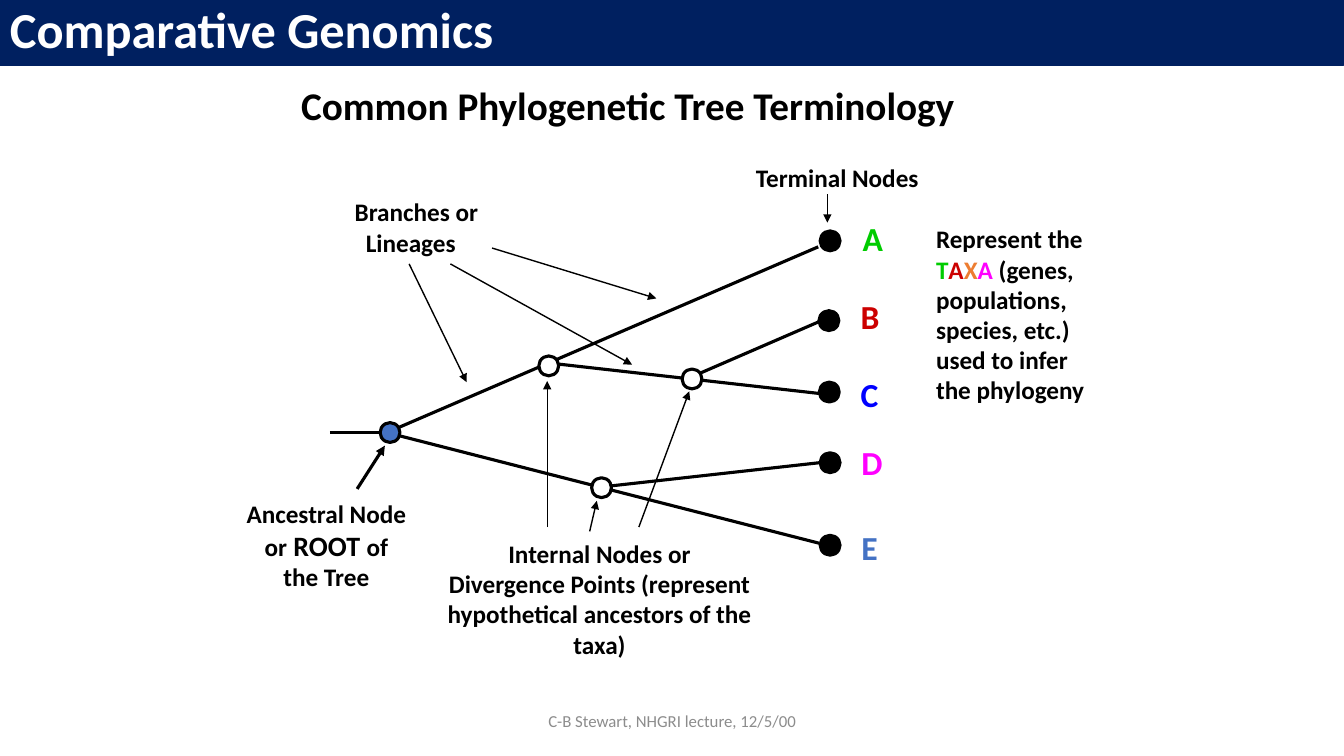
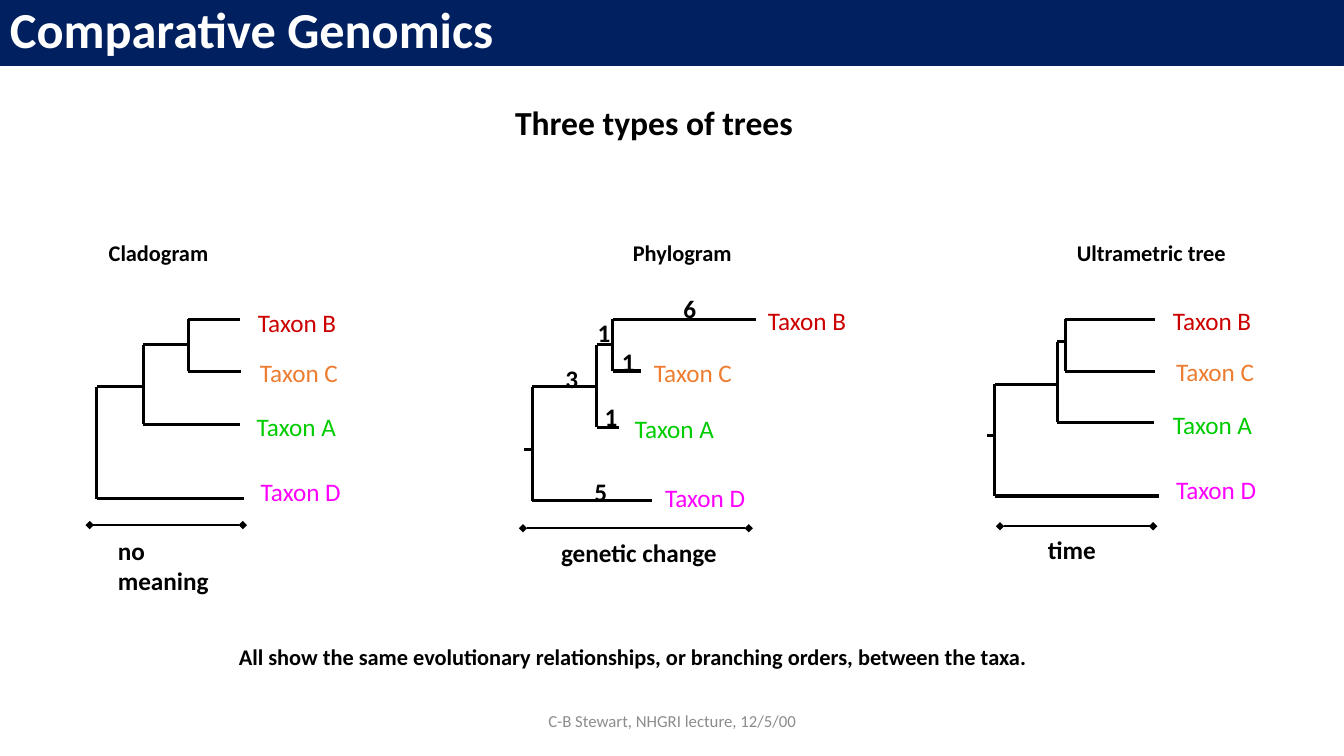
"""Build two slides on phylogenetic tree terms and tree types."""
from lxml import etree
from pptx import Presentation
from pptx.dml.color import RGBColor
from pptx.enum.shapes import MSO_CONNECTOR, MSO_SHAPE
from pptx.enum.text import MSO_ANCHOR, PP_ALIGN
from pptx.oxml.ns import qn
from pptx.util import Cm, Pt

STRAIGHT = MSO_CONNECTOR.STRAIGHT
RECTANGLE, OVAL = MSO_SHAPE.RECTANGLE, MSO_SHAPE.OVAL
LEFT, CENTER = PP_ALIGN.LEFT, PP_ALIGN.CENTER
TOP, MIDDLE = MSO_ANCHOR.TOP, MSO_ANCHOR.MIDDLE

FONT = "Calibri"
PAGE_WIDTH, PAGE_HEIGHT = 33.87, 19.05
NODE_SIZE = 0.5
THICK, MEDIUM, THIN = 2.25, 1.5, 1
COLORS = {
    "black": "000000", "white": "FFFFFF", "navy": "002060", "gray": "8C8C8C",
    "green": "00CC00", "red": "CC0000", "orange": "ED7D31",
    "magenta": "FF00FF", "blue": "0000FF", "steel": "4472C4",
}
TAXON_COLORS = {"A": "green", "B": "red", "C": "orange", "D": "magenta"}

BRANCHES = [
    (9.75, 10.9, 20.62, 6.22), (9.75, 10.9, 20.65, 13.69),
    (13.77, 9.14, 20.78, 9.93), (17.42, 9.5, 20.7, 8.08),
    (15.16, 12.27, 20.65, 11.66), (8.31, 10.9, 9.7, 10.9),
]
NODES = [
    (9.83, 10.9, "steel"),
    (15.16, 12.29, "white"), (13.83, 9.22, "white"), (17.44, 9.55, "white"),
    (20.92, 6.07, "black"), (20.89, 8.08, "black"), (20.9, 9.88, "black"),
    (20.92, 11.66, "black"), (20.92, 13.74, "black"),
]
POINTERS = [
    (13.79, 13.28, 13.79, 9.6), (14.86, 13.39, 15.04, 12.62),
    (16.1, 13.28, 17.37, 9.86), (10.31, 6.65, 11.76, 9.63),
    (11.35, 6.65, 15.93, 9.19), (12.4, 6.25, 16.54, 7.52),
    (20.85, 4.9, 20.85, 5.61),
]
LETTERS = [
    ("A", 21.49, 5.36, "green"), ("B", 21.44, 7.34, "red"),
    ("C", 21.44, 9.3, "blue"), ("D", 21.46, 11, "magenta"),
    ("E", 21.46, 13.16, "steel"),
]
TREES = [
    {
        "title": ("Cladogram", 2.49),
        "joints": {"root": 2.44, "clade": 3.61, "pair": 4.75},
        "levels": {"B": 8.05, "pair": 8.69, "C": 9.36, "clade": 9.75,
                   "A": 10.69, "D": 12.57},
        "tips": {"A": 6.05, "B": 6.05, "C": 6.07, "D": 6.15},
        "labels": {"A": (6.22, 10.24), "B": (6.25, 7.62),
                   "C": (6.3, 8.89), "D": (6.32, 11.89)},
        "scale": (2.26, 6.12, 13.23),
        "caption": ("no meaning", 2.72, 13.36, 3.28),
        "stub": None,
    },
    {
        "title": ("Phylogram", 15.7),
        "joints": {"root": 13.41, "clade": 15.04, "pair": 15.44},
        "levels": {"B": 8.05, "pair": 8.69, "C": 9.35, "clade": 9.75,
                   "A": 10.77, "D": 12.62},
        "tips": {"A": 15.6, "B": 19.05, "C": 16.15, "D": 16.43},
        "labels": {"A": (15.75, 10.29), "B": (19.1, 7.57),
                   "C": (16.23, 8.89), "D": (16.51, 12.04)},
        "scale": (13.18, 18.87, 13.31),
        "caption": ("genetic change", 13.89, 13.41, 5.05),
        "stub": 11.33,
    },
    {
        "title": ("Ultrametric tree", 26.89),
        "joints": {"root": 25.07, "clade": 26.64, "pair": 26.85},
        "levels": {"B": 8.05, "pair": 8.61, "C": 9.36, "clade": 9.68,
                   "A": 10.64, "D": 12.5},
        "tips": {"A": 29.08, "B": 29.11, "C": 29.11, "D": 29.21},
        "labels": {"A": (29.31, 10.19), "B": (29.31, 7.57),
                   "C": (29.39, 8.86), "D": (29.39, 11.84)},
        "scale": (25.2, 29.06, 13.26),
        "caption": ("time", 26.16, 13.34, 2.2),
        "stub": 10.97,
    },
]
BRANCH_LENGTHS = [
    ("1", 15.42, 8.61), ("1", 14.81, 7.87), ("1", 14.99, 9.98),
    ("6", 16.97, 7.26), ("3", 14, 9.02), ("5", 14.73, 11.89),
]


def rgb(name):
    return RGBColor.from_string(COLORS[name])


def fill_para(para, spans, size, color, bold, align=LEFT):
    if isinstance(spans, str):
        spans = [(spans, {})]
    para.alignment = align
    para.font.name = FONT
    para.font.bold = bold
    sizes = {style.get("size", size) for _, style in spans}
    colors = {style.get("color", color) for _, style in spans}
    if len(sizes) == 1:
        para.font.size = Pt(size)
    if len(colors) == 1:
        para.font.color.rgb = rgb(color)
    for text, style in spans:
        span = para.add_run()
        span.text = text
        if len(sizes) > 1:
            span.font.size = Pt(style.get("size", size))
        if len(colors) > 1:
            span.font.color.rgb = rgb(style.get("color", color))


def add_text(page, paras, left, top, width, height=1.02, size=18,
             color="black", bold=True, align=LEFT, anchor=TOP):
    box = page.shapes.add_textbox(Cm(left), Cm(top), Cm(width), Cm(height))
    frame = box.text_frame
    frame.word_wrap = True
    frame.vertical_anchor = anchor
    for index, spans in enumerate(paras):
        para = frame.add_paragraph() if index else frame.paragraphs[0]
        fill_para(para, spans, size, color, bold, align)
    return box


def add_shape(page, kind, left, top, width, height, fill, line):
    shape = page.shapes.add_shape(kind, Cm(left), Cm(top), Cm(width), Cm(height))
    shape.shadow.inherit = False
    shape.fill.solid()
    shape.fill.fore_color.rgb = rgb(fill)
    shape.line.color.rgb = rgb(line)
    shape.line.width = Pt(THICK)
    return shape


def add_line(page, x1, y1, x2, y2, width=THICK, head=None, tail=None):
    line = page.shapes.add_connector(STRAIGHT, Cm(x1), Cm(y1), Cm(x2), Cm(y2))
    line.line.color.rgb = rgb("black")
    line.line.width = Pt(width)
    properties = line._element.spPr
    outline = properties.find(qn("a:ln"))
    for tag, kind in (("a:headEnd", head), ("a:tailEnd", tail)):
        if kind:
            etree.SubElement(outline, qn(tag), type=kind)
    etree.SubElement(properties, qn("a:effectLst"))


def add_page(deck):
    page = deck.slides.add_slide(deck.slide_layouts[6])
    band = add_shape(page, RECTANGLE, 0, 0, PAGE_WIDTH, 1.63, "navy", "navy")
    band.text_frame.vertical_anchor = MIDDLE
    para = band.text_frame.paragraphs[0]
    para.line_spacing = 0.9
    fill_para(para, "Comparative Genomics", 36, "white", True)
    add_text(page, ["C-B Stewart, NHGRI lecture, 12/5/00"], 11.23, 17.65, 11.43,
             size=12, color="gray", bold=False, align=CENTER, anchor=MIDDLE)
    return page


def add_tree(page, tree):
    joints, levels, tips = tree["joints"], tree["levels"], tree["tips"]
    root, clade, pair = joints["root"], joints["clade"], joints["pair"]
    for x, upper, lower in ((root, "clade", "D"), (clade, "pair", "A"),
                            (pair, "B", "C")):
        add_line(page, x, levels[upper], x, levels[lower])
    for start, end, level in ((root, clade, "clade"), (clade, pair, "pair"),
                              (root, tips["D"], "D"), (clade, tips["A"], "A"),
                              (pair, tips["B"], "B"), (pair, tips["C"], "C")):
        add_line(page, start, levels[level], end, levels[level])
    if tree["stub"]:
        add_line(page, root - 0.2, tree["stub"], root, tree["stub"])
    for taxon, (left, top) in tree["labels"].items():
        add_text(page, [f"Taxon {taxon}"], left, top, 2.8,
                 color=TAXON_COLORS[taxon], bold=False)
    start, end, y = tree["scale"]
    add_line(page, start, y, end, y, MEDIUM, "diamond", "diamond")
    caption, left, top, width = tree["caption"]
    add_text(page, [caption], left, top, width)
    title, left = tree["title"]
    add_text(page, [title], left, 5.89, 5, 0.94, size=16)


def build_terminology(deck):
    page = add_page(deck)
    add_text(page, ["Common Phylogenetic Tree Terminology"],
             7.34, 1.93, 20.7, 1.45, size=28)
    for branch in BRANCHES:
        add_line(page, *branch)
    for x, y, fill in NODES:
        add_shape(page, OVAL, x - NODE_SIZE / 2, y - NODE_SIZE / 2,
                  NODE_SIZE, NODE_SIZE, fill, "black")
    add_line(page, 9, 12.32, 9.7, 11.23, tail="triangle")
    for pointer in POINTERS:
        add_line(page, *pointer, width=THIN, tail="triangle")
    for letter, left, top, color in LETTERS:
        add_text(page, [letter], left, top, 1, 1.27, size=24, color=color)
    add_text(page, ["Ancestral Node",
                    [("or", {}), (" ROOT ", {"size": 20}), ("of", {})],
                    "the Tree"], 5.28, 12.42, 5.89, 2.74, align=CENTER)
    add_text(page, ["Internal Nodes or",
                    "Divergence Points (represent hypothetical ancestors of the taxa)"],
             10.97, 13.44, 8.28, 3.3, align=CENTER)
    box = add_text(page, ["Branches or", "Lineages"], 8.69, 4.83, 4, 1.8)
    lineages = box.text_frame.paragraphs[1]
    lineages._p.get_or_add_pPr().set("marL", str(Cm(0.28)))
    add_text(page, ["Terminal Nodes"], 18.7, 3.96, 4.8, align=CENTER)
    taxa = [(letter, {"color": color}) for letter, color in
            zip("TAXA", ("green", "red", "orange", "magenta"))]
    add_text(page, ["Represent the", taxa + [(" (genes,", {})], "populations,",
                    "species, etc.)", "used to infer", "the phylogeny"],
             23.34, 5.51, 4.42, 4.88)


def build_tree_types(deck):
    page = add_page(deck)
    add_text(page, ["Three types of trees"], 12.73, 2.44, 8, 1.27, size=24)
    for tree in TREES:
        add_tree(page, tree)
    for number, left, top in BRANCH_LENGTHS:
        add_text(page, [number], left, top, 0.9)
    add_text(page, ["All show the same evolutionary relationships, "
                    "or branching orders, between the taxa."],
             5.77, 16.08, 21, 0.94, size=16)


def main():
    deck = Presentation()
    deck.slide_width, deck.slide_height = Cm(PAGE_WIDTH), Cm(PAGE_HEIGHT)
    build_terminology(deck)
    build_tree_types(deck)
    deck.save("out.pptx")


if __name__ == "__main__":
    main()
